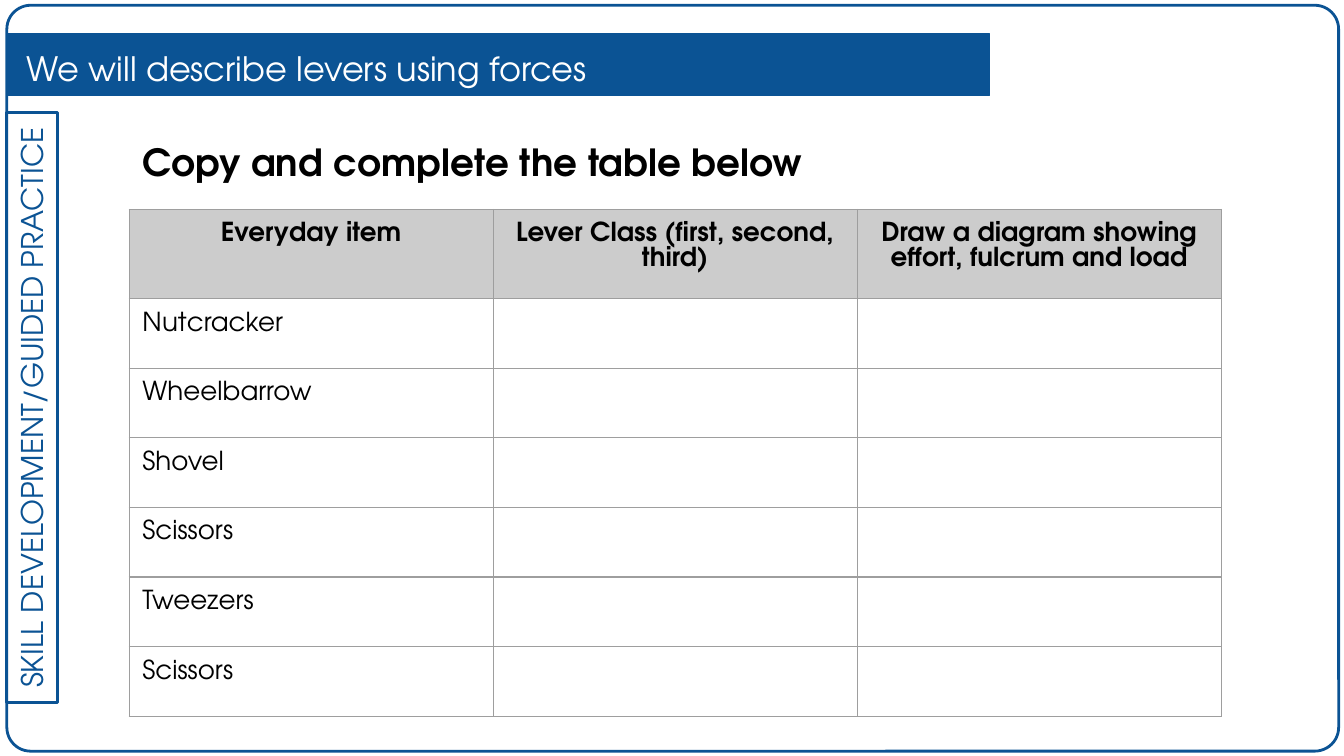
from lxml.etree import SubElement
from pptx import Presentation
from pptx.dml.color import RGBColor
from pptx.enum.shapes import MSO_SHAPE as Shape
from pptx.enum.text import MSO_ANCHOR as Anchor, PP_ALIGN as Align
from pptx.oxml.ns import qn
from pptx.util import Cm, Pt

FONT = "TeX Gyre Adventor"
BLUE, WHITE, BLACK = "0B5394", "FFFFFF", "000000"
GREY, BORDER = "CCCCCC", "9E9E9E"
INSET = Cm(0.25)
HEADINGS = [
    "Everyday item",
    "Lever Class (first, second, third)",
    "Draw a diagram showing effort, fulcrum and load",
]
ITEMS = ["Nutcracker", "Wheelbarrow", "Shovel", "Scissors", "Tweezers", "Scissors"]


def color(value):
    """Turn a hex string into a colour."""
    return RGBColor.from_string(value)


def write(frame, text, size=14, fill=BLACK, bold=False, align=Align.LEFT, spacing=None):
    """Write one formatted paragraph into a text frame."""
    frame.word_wrap = True
    paragraph = frame.paragraphs[0]
    paragraph.alignment = align
    paragraph.line_spacing = spacing
    if text:
        paragraph.add_run().text = text
    for font in [paragraph.font] + [run.font for run in paragraph.runs]:
        font.name, font.size, font.bold = FONT, Pt(size), bold
        font.color.rgb = color(fill)


def set_insets(frame):
    """Give a text frame equal margins."""
    frame.margin_left = frame.margin_right = INSET
    frame.margin_top = frame.margin_bottom = INSET


def add_box(slide, kind, box, width=1.5, fill=None):
    """Add a blue outlined shape in the box, filled if a colour is given."""
    shape = slide.shapes.add_shape(kind, *map(Cm, box))
    shape.shadow.inherit = False
    shape.line.color.rgb = color(BLUE)
    shape.line.width = Pt(width)
    if fill:
        shape.fill.solid()
        shape.fill.fore_color.rgb = color(fill)
    else:
        shape.fill.background()
    return shape


def add_label(slide, box, text, anchor=Anchor.TOP, **style):
    """Add a text box in the box."""
    frame = slide.shapes.add_textbox(*map(Cm, box)).text_frame
    set_insets(frame)
    frame.vertical_anchor = anchor
    write(frame, text, **style)


def add_frame(slide, box):
    """Add the rounded border of the slide."""
    add_box(slide, Shape.ROUNDED_RECTANGLE, box).adjustments[0] = 0.032


def add_side_tab(slide, box, text):
    """Add a tab that fills the upright box with text reading upwards."""
    left, top, width, height = box
    shift = (height - width) / 2
    shape = add_box(slide, Shape.RECTANGLE, (left - shift, top + shift, height, width))
    shape.rotation = 270
    set_insets(shape.text_frame)
    shape.text_frame.vertical_anchor = Anchor.MIDDLE
    write(shape.text_frame, text, size=16, fill=BLUE, align=Align.CENTER)


def add_title_bar(slide, box, text):
    """Add the blue bar with the lesson title inside it."""
    left, top, width, height = box
    add_box(slide, Shape.RECTANGLE, box, width=0.75, fill=BLUE)
    inner = (left + 0.12, top + 0.1, width - 0.24, height - 0.2)
    add_label(slide, inner, text, anchor=Anchor.MIDDLE, size=18, fill=WHITE, spacing=1.15)


def add_borders(cell):
    """Draw thin grey lines on all sides of a cell."""
    properties = cell._tc.get_or_add_tcPr()
    for index, side in enumerate(("a:lnL", "a:lnR", "a:lnT", "a:lnB")):
        line = SubElement(properties, qn(side), w=str(Pt(0.75)))
        SubElement(SubElement(line, qn("a:solidFill")), qn("a:srgbClr"), val=BORDER)
        properties.insert(index, line)


def add_lever_table(slide, box, header_height):
    """Add the table of everyday items with equal columns and item rows."""
    left, top, width, height = box
    rows = [HEADINGS] + [[item, "", ""] for item in ITEMS]
    table = slide.shapes.add_table(len(rows), len(HEADINGS), *map(Cm, box)).table
    table.first_row = table.horz_banding = False
    for column in table.columns:
        column.width = Cm(width / len(HEADINGS))
    for index, texts in enumerate(rows):
        header = index == 0
        row_height = header_height if header else (height - header_height) / len(ITEMS)
        table.rows[index].height = Cm(row_height)
        for cell, text in zip(table.rows[index].cells, texts):
            set_insets(cell)
            if header:
                cell.fill.solid()
                cell.fill.fore_color.rgb = color(GREY)
            else:
                cell.fill.background()
            add_borders(cell)
            write(cell.text_frame, text, bold=header,
                  align=Align.CENTER if header else Align.LEFT)


def main():
    """Build the slide and save it."""
    presentation = Presentation()
    presentation.slide_width, presentation.slide_height = Cm(25.4), Cm(14.29)
    slide = presentation.slides.add_slide(presentation.slide_layouts[6])
    add_frame(slide, (0.13, 0.1, 25.17, 14.1))
    add_side_tab(slide, (0.12, 2.13, 0.97, 11.15), "SKILL DEVELOPMENT/GUIDED PRACTICE")
    add_title_bar(slide, (0.13, 0.64, 18.57, 1.17), "We will describe levers using forces")
    add_lever_table(slide, (2.44, 3.96, 20.64, 9.31), header_height=1.42)
    add_label(slide, (2.44, 2.39, 16.26, 1.45), "Copy and complete the table below",
              size=20, bold=True)
    presentation.save("out.pptx")


if __name__ == "__main__":
    main()
